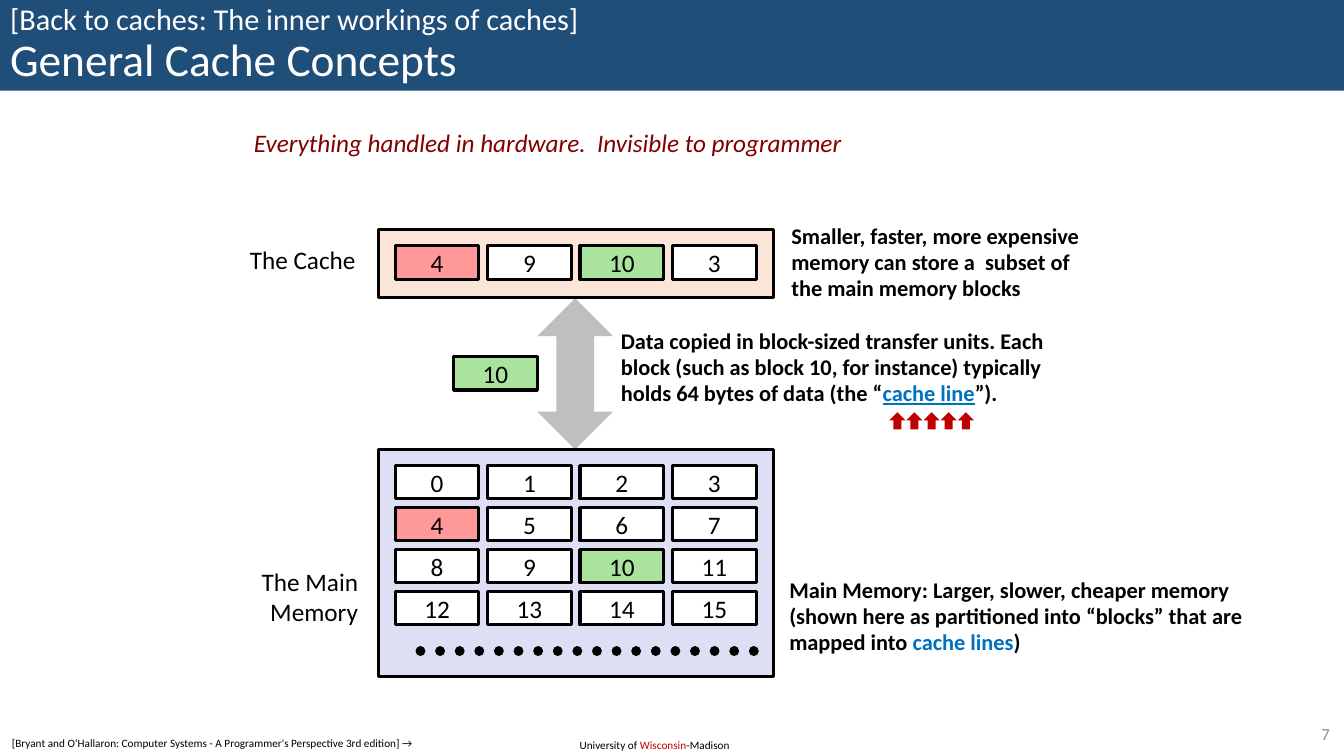
import pptx
import pptx.dml.color
import pptx.enum.dml
import pptx.enum.shapes
import pptx.enum.text
import pptx.oxml
import pptx.oxml.ns
import pptx.util

Inches = pptx.util.Inches
Pt = pptx.util.Pt
RGBColor = pptx.dml.color.RGBColor
KIND = pptx.enum.shapes.MSO_SHAPE
ALIGN = pptx.enum.text.PP_ALIGN
ANCHOR = pptx.enum.text.MSO_ANCHOR
FIT = pptx.enum.text.MSO_AUTO_SIZE

BLACK = RGBColor(0x00, 0x00, 0x00)
WHITE = RGBColor(0xFF, 0xFF, 0xFF)
NAVY = RGBColor(0x1F, 0x4E, 0x79)
GREY = RGBColor(0xBF, 0xBF, 0xBF)
DIM = RGBColor(0x8C, 0x8C, 0x8C)
LILAC = RGBColor(0xDE, 0xDF, 0xF5)
PEACH = RGBColor(0xFB, 0xE5, 0xD6)
PINK = RGBColor(0xFF, 0x99, 0x99)
GREEN = RGBColor(0xA9, 0xE3, 0x9D)
BLUE = RGBColor(0x00, 0x70, 0xC0)
RED = RGBColor(0xC0, 0x00, 0x00)
MAROON = RGBColor(0x80, 0x00, 0x00)

LABEL = {"size": Pt(18)}
NOTE = {"size": Pt(16), "bold": True}
SMALL = {"size": Pt(8)}
TINTS = {4: PINK, 10: GREEN}

# Block grid, in inches
COL, STEP, ROW = 3.92, 2.75 / 3, 1.25 / 3
WIDE, HIGH = 0.83, 0.33


def style(font, values, color=BLACK):
    for name, value in {"name": "Calibri", **values}.items():
        setattr(font, name, value)
    font.color.rgb = color


def write(para, runs, values):
    """Fill a paragraph; each run is (text, color, extra format)."""
    for text, color, extra in runs:
        run = para.add_run()
        run.text = text
        style(run.font, {**values, **extra}, color)


def plain(text, color=BLACK, **extra):
    return (text, color, extra)


def add_text(slide, box, lines, values, wrap=False, align=ALIGN.LEFT,
             anchor=ANCHOR.TOP, space=1.0):
    shape = slide.shapes.add_textbox(*map(Inches, box))
    frame = shape.text_frame
    format = {"word_wrap": wrap, "vertical_anchor": anchor,
              "auto_size": FIT.NONE}
    for name, value in format.items():
        setattr(frame, name, value)
    for i, runs in enumerate(lines):
        para = frame.add_paragraph() if i else frame.paragraphs[0]
        para.alignment, para.line_spacing = align, space
        write(para, runs, values)
    return shape


def add_note(slide, box, lines, wrap=False):
    add_text(slide, box, lines, NOTE, wrap, anchor=ANCHOR.MIDDLE, space=0.98)


def add_solid(slide, kind, box, fill, edge=False):
    shape = slide.shapes.add_shape(kind, *map(Inches, box))
    shape.shadow.inherit = False
    shape.fill.solid()
    shape.fill.fore_color.rgb = fill
    if edge:
        shape.line.color.rgb = BLACK
        shape.line.width = Pt(2.25)
    else:
        shape.line.fill.background()
    return shape


def add_block(slide, left, top, num):
    fill = TINTS.get(num, WHITE)
    shape = add_solid(slide, KIND.RECTANGLE, (left, top, WIDE, HIGH), fill, True)
    frame = shape.text_frame
    for side in ("left", "right", "top", "bottom"):
        setattr(frame, "margin_" + side, 0)
    frame.vertical_anchor = ANCHOR.MIDDLE
    para = frame.paragraphs[0]
    para.alignment = ALIGN.CENTER
    write(para, [plain(str(num))], LABEL)


def add_grid(slide, top, nums):
    for i, num in enumerate(nums):
        row, col = divmod(i, 4)
        add_block(slide, COL + col * STEP, top + row * ROW, num)


def add_dots(slide, left, right, top):
    ends = map(Inches, (left, top, right, top))
    line = slide.shapes.add_connector(
        pptx.enum.shapes.MSO_CONNECTOR.STRAIGHT, *ends)
    line.line.color.rgb = BLACK
    line.line.width = Pt(7)
    line.line.dash_style = pptx.enum.dml.MSO_LINE.ROUND_DOT
    props = line._element.spPr
    props.find(pptx.oxml.ns.qn("a:ln")).set("cap", "rnd")
    props.append(pptx.oxml.parse_xml(
        "<a:effectLst %s/>" % pptx.oxml.ns.nsdecls("a")))


def set_title(slide):
    title = slide.shapes.title
    place = {"left": 0, "top": 0, "width": 13.33, "height": 0.9}
    for name, value in place.items():
        setattr(title, name, Inches(value))
    title.fill.solid()
    title.fill.fore_color.rgb = NAVY
    frame = title.text_frame
    frame.auto_size, frame.word_wrap = FIT.NONE, True
    frame.vertical_anchor = ANCHOR.MIDDLE
    para = frame.paragraphs[0]
    para.alignment, para.line_spacing = ALIGN.LEFT, 0.9
    write(para, [plain("[Back to caches: The inner workings of caches]", WHITE)],
          {"size": Pt(21.6)})
    para.add_line_break()
    write(para, [plain("General Cache Concepts", WHITE)], {"size": Pt(32.4)})


def main():
    deck = pptx.Presentation()
    deck.slide_width, deck.slide_height = Inches(13.33), Inches(7.5)
    slide = deck.slides.add_slide(deck.slide_layouts[5])
    set_title(slide)

    # Cache, memory and the transfer between them
    add_solid(slide, KIND.UP_DOWN_ARROW, (5.33, 2.96, 0.75, 1.5), GREY)
    add_solid(slide, KIND.RECTANGLE, (3.75, 4.46, 3.92, 2.25), LILAC, True)
    add_solid(slide, KIND.RECTANGLE, (3.75, 2.28, 3.92, 0.67), PEACH, True)
    add_grid(slide, 4.62, range(16))
    add_grid(slide, 2.44, [4, 9, 10, 3])
    add_block(slide, 4.5, 3.54, 10)
    add_dots(slide, 4.17, 7.5, 6.46)

    # Labels
    add_text(slide, (2.42, 1.21, 6.27, 0.4), [[plain(
        "Everything handled in hardware.  Invisible to programmer",
        MAROON, italic=True)]], LABEL)
    add_text(slide, (2.38, 2.37, 1.26, 0.4), [[plain("The Cache")]], LABEL)
    add_text(slide, (2.23, 5.57, 1.42, 0.71), [[plain("The Main Memory")]],
             LABEL, True, ALIGN.RIGHT)

    # Notes
    add_note(slide, (7.75, 2.16, 3.21, 0.89), [
        [plain("Smaller, faster, more expensive")],
        [plain("memory can store a  subset of")],
        [plain("the main memory blocks")]])
    add_note(slide, (6.06, 3.19, 4.51, 0.91), [[
        plain("Data copied in block-sized transfer units. Each block (such as "
              "block 10, for instance) typically holds 64 bytes of data (the “"),
        plain("cache line", BLUE, underline=True), plain("”).")]], True)
    add_note(slide, (7.73, 5.67, 4.8, 0.89), [
        [plain("Main Memory: Larger, slower, cheaper memory")],
        [plain("(shown here as partitioned into “blocks” that are")],
        [plain("mapped into "), plain("cache lines", BLUE), plain(")")]])

    # Red pointers under the cache line
    for i in range(5):
        add_solid(slide, KIND.UP_ARROW, (8.82 + i * 0.17, 4.09, 0.16, 0.17), RED)

    # Footer
    add_text(slide, (5.65, 7.28, 1.72, 0.24), [[
        plain("University of "), plain("Wisconsin", RED), plain("-Madison")]],
        SMALL, True)
    cite = add_text(slide, (0.02, 7.26, 4.31, 0.24), [[plain(
        "[Bryant and O‘Hallaron: Computer Systems - A Programmer's "
        "Perspective 3rd edition] →")]], SMALL, True)
    cite.fill.solid()
    cite.fill.fore_color.rgb = WHITE
    add_text(slide, (12.53, 7.13, 0.76, 0.29), [[plain("7", DIM)]],
             {"size": Pt(12)}, True, ALIGN.RIGHT, ANCHOR.MIDDLE)

    deck.save("out.pptx")


if __name__ == "__main__":
    main()
